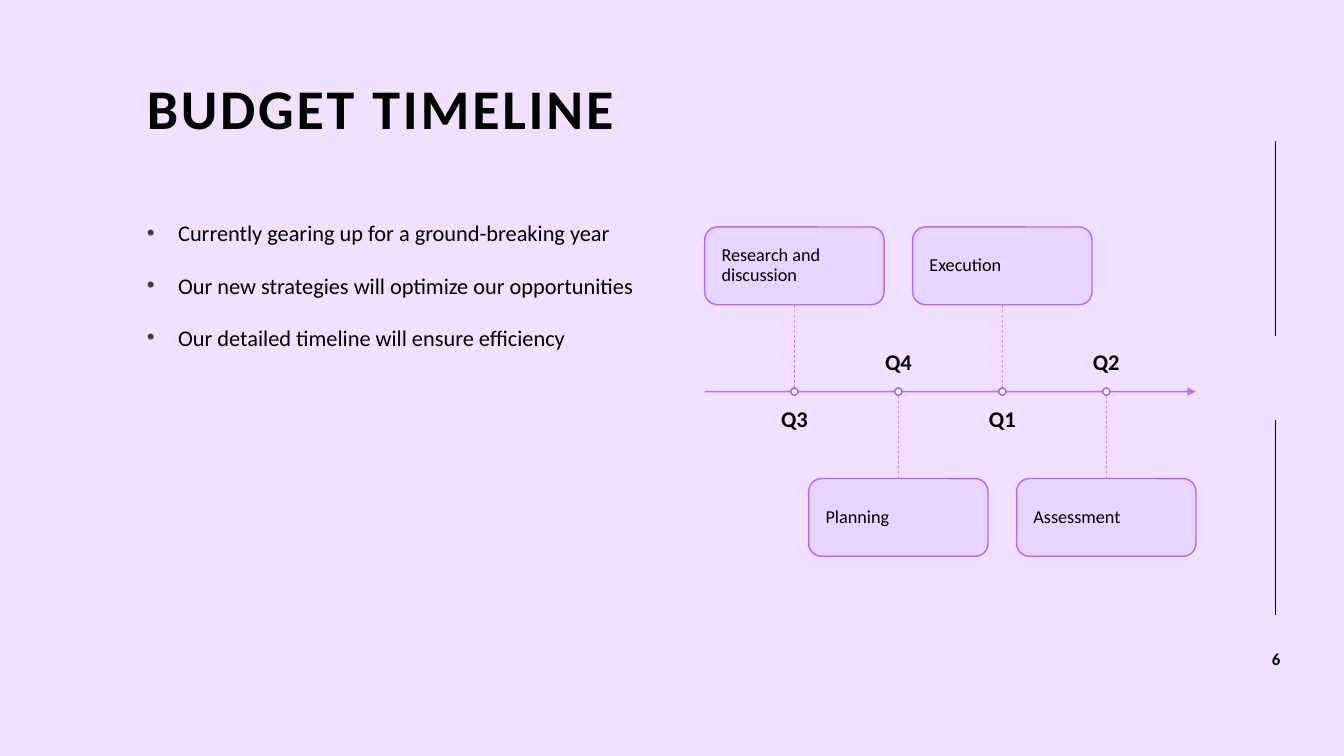
from lxml.etree import SubElement
from pptx import Presentation
from pptx.dml.color import RGBColor
from pptx.enum.dml import MSO_LINE
from pptx.enum.shapes import MSO_CONNECTOR, MSO_SHAPE
from pptx.enum.text import MSO_ANCHOR as Anchor, PP_ALIGN as Align
from pptx.oxml.ns import qn
from pptx.util import Cm, Pt

LILAC = RGBColor(0xEF, 0xE1, 0xFF)
LAVENDER = RGBColor(0xE4, 0xD4, 0xFF)
VIOLET = RGBColor(0xB0, 0x68, 0xFF)
PURPLE = RGBColor(0xA0, 0x5E, 0xE7)
WHITE = RGBColor(0xFF, 0xFF, 0xFF)
BLACK = RGBColor(0x00, 0x00, 0x00)
GREY = RGBColor(0x40, 0x40, 0x40)

BULLETS = [
    "Currently gearing up for a ground-breaking year",
    "Our new strategies will optimize our opportunities",
    "Our detailed timeline will ensure efficiency",
]
MILESTONES = [
    ("Q3", "Research and discussion"),
    ("Q4", "Planning"),
    ("Q1", "Execution"),
    ("Q2", "Assessment"),
]
AXIS_LEFT, AXIS_RIGHT, AXIS_Y = 17.76, 30.13, 9.87
FIRST_X, STEP = 20.02, 2.62
BOX_WIDTH, BOX_HEIGHT, BOX_GAP = 4.52, 1.96, 2.19
LABEL_WIDTH, LABEL_HEIGHT, LABEL_GAP = 3.96, 1.3, 0.42
DOT = 0.18


class TimelineSlide:
    """Draws styled elements on one slide, with all lengths in centimetres."""

    font_name = "Calibri"

    def __init__(self, slide):
        self.slide = slide
        slide.background.fill.solid()
        slide.background.fill.fore_color.rgb = LILAC

    def set_alpha(self, properties, percent):
        color = properties.find(qn("a:solidFill"))[0]
        SubElement(color, qn("a:alpha"), val=str(percent * 1000))

    def style(self, paragraph, size, bold=False, align=Align.LEFT, line_spacing=None, tracking=0):
        paragraph.alignment = align
        paragraph.line_spacing = line_spacing
        font = paragraph.font
        font.name, font.size, font.bold = self.font_name, Pt(size), bold
        font.color.rgb = BLACK
        if tracking:
            paragraph._p.pPr.find(qn("a:defRPr")).set("spc", str(tracking * 100))

    def frame(self, shape, anchor, inset=None):
        frame = shape.text_frame
        frame.word_wrap = True
        frame.vertical_anchor = anchor
        if inset is not None:
            frame.margin_left = frame.margin_right = Cm(inset)
            frame.margin_top = frame.margin_bottom = Cm(inset)
        return frame

    def text(self, text, left, top, width, height, size, anchor=Anchor.TOP, inset=None, **style):
        box = self.slide.shapes.add_textbox(Cm(left), Cm(top), Cm(width), Cm(height))
        paragraph = self.frame(box, anchor, inset).paragraphs[0]
        paragraph.text = text
        self.style(paragraph, size, **style)

    def bullets(self, items, left, top, width, height):
        box = self.slide.shapes.add_textbox(Cm(left), Cm(top), Cm(width), Cm(height))
        frame = self.frame(box, Anchor.TOP)
        frame.text = "\n".join(items)
        for paragraph in frame.paragraphs:
            paragraph.space_after = Pt(18)
            properties = paragraph._p.get_or_add_pPr()
            properties.set("marL", str(Cm(0.79)))
            properties.set("indent", str(-Cm(0.79)))
            color = SubElement(properties, qn("a:buClr"))
            SubElement(color, qn("a:srgbClr"), val=str(GREY))
            SubElement(properties, qn("a:buFont"), typeface="Arial")
            SubElement(properties, qn("a:buChar"), char="•")
            self.style(paragraph, 16)

    def line(self, x1, y1, x2, y2, color, width):
        line = self.slide.shapes.add_connector(
            MSO_CONNECTOR.STRAIGHT, Cm(x1), Cm(y1), Cm(x2), Cm(y2))
        line.line.color.rgb = color
        line.line.width = Pt(width)
        SubElement(line._element.spPr, qn("a:effectLst"))
        return line

    def axis(self):
        axis = self.line(AXIS_LEFT, AXIS_Y, AXIS_RIGHT, AXIS_Y, VIOLET, 1)
        outline = axis._element.spPr.find(qn("a:ln"))
        self.set_alpha(outline, 90)
        SubElement(outline, qn("a:tailEnd"), type="triangle")

    def shape(self, kind, left, top, width, height, fill, outline):
        shape = self.slide.shapes.add_shape(kind, Cm(left), Cm(top), Cm(width), Cm(height))
        shape.shadow.inherit = False
        shape.fill.solid()
        shape.fill.fore_color.rgb = fill
        shape.line.color.rgb = outline
        shape.line.width = Pt(1)
        return shape

    def milestone(self, x, quarter, task, box_above):
        if box_above:
            box_top, box_side = AXIS_Y - BOX_GAP - BOX_HEIGHT, 2
            label_top, label_anchor = AXIS_Y + LABEL_GAP, Anchor.TOP
        else:
            box_top, box_side = AXIS_Y + BOX_GAP, 0
            label_top, label_anchor = AXIS_Y - LABEL_GAP - LABEL_HEIGHT, Anchor.BOTTOM

        box = self.shape(MSO_SHAPE.ROUNDED_RECTANGLE, x - BOX_WIDTH / 2, box_top,
                         BOX_WIDTH, BOX_HEIGHT, LAVENDER, VIOLET)
        self.set_alpha(box._element.spPr, 90)
        paragraph = self.frame(box, Anchor.MIDDLE, 0.33).paragraphs[0]
        paragraph.text = task
        self.style(paragraph, 13, line_spacing=0.9)

        stem = self.line(x, box_top, x, AXIS_Y, VIOLET, 0.5)
        stem.line.dash_style = MSO_LINE.DASH
        stem.begin_connect(box, box_side)
        self.shape(MSO_SHAPE.OVAL, x - DOT / 2, AXIS_Y - DOT / 2, DOT, DOT, WHITE, PURPLE)
        self.text(quarter, x - LABEL_WIDTH / 2, label_top, LABEL_WIDTH, LABEL_HEIGHT, 16,
                  label_anchor, 0, bold=True, align=Align.CENTER, line_spacing=0.9)


def main():
    presentation = Presentation()
    presentation.slide_width, presentation.slide_height = Cm(33.87), Cm(19.05)
    page = TimelineSlide(presentation.slides.add_slide(presentation.slide_layouts[6]))

    for top in (3.56, 10.59):
        page.line(32.13, top, 32.13, top + 4.9, BLACK, 0.25)
    page.text("BUDGET TIMELINE", 3.45, 2.13, 26.95, 2.54, 40,
              bold=True, line_spacing=0.75, tracking=2)
    page.bullets(BULLETS, 3.45, 5.41, 12.95, 11.48)

    page.axis()
    for index, (quarter, task) in enumerate(MILESTONES):
        page.milestone(FIRST_X + index * STEP, quarter, task, index % 2 == 0)

    page.text("6", 30.71, 16.21, 2.9, 0.69, 12, bold=True, align=Align.CENTER, tracking=2)
    presentation.save("out.pptx")


if __name__ == "__main__":
    main()
